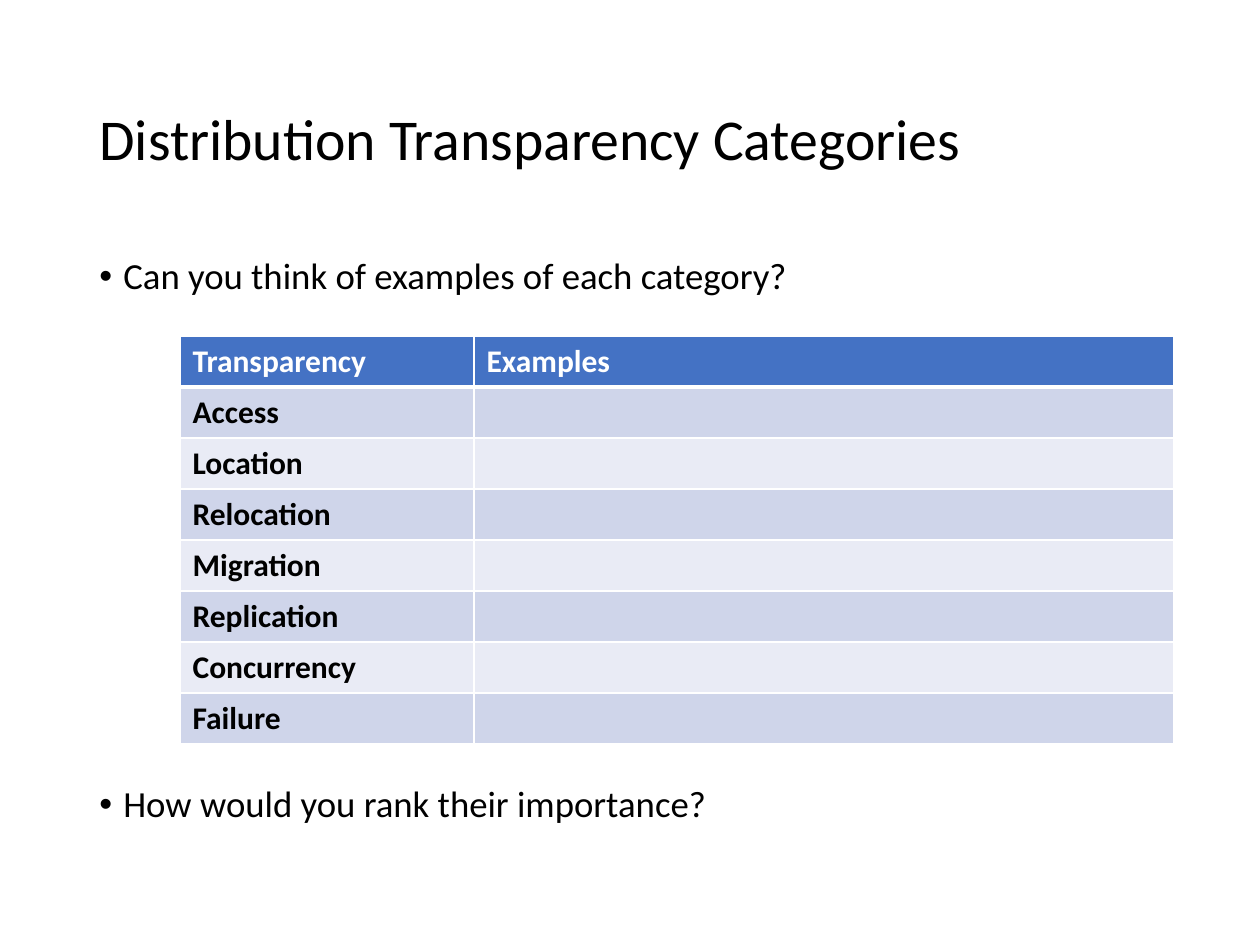
from lxml import etree
from pptx import Presentation
from pptx.dml.color import RGBColor
from pptx.enum.text import MSO_ANCHOR
from pptx.oxml.ns import qn
from pptx.util import Emu, Pt

# Content
TITLE = "Distribution Transparency Categories"
# Bullet text and the space before it in points; the second clears the table
BULLETS = [
    ("Can you think of examples of each category?", 7.5),
    ("How would you rank their importance?", 279),
]
HEADERS = ["Transparency", "Examples"]
CATEGORIES = ["Access", "Location", "Relocation", "Migration",
              "Replication", "Concurrency", "Failure"]

# Layout in px (126 to the inch)
PX = 914400 / 126
TITLE_BOX = (87, 50, 1086, 183)
BODY_BOX = (87, 252, 1086, 600)
TABLE_LEFT, TABLE_TOP = 180, 336
COLUMN_WIDTHS = [294, 700]
ROW_HEIGHT = 51
BULLET_INDENT = 24

# Style
FONT = "Calibri"
BLACK = RGBColor(0x00, 0x00, 0x00)
WHITE = RGBColor(0xFF, 0xFF, 0xFF)
HEADER_BLUE = RGBColor(0x44, 0x72, 0xC4)
BANDS = [RGBColor(0xCF, 0xD5, 0xEA), RGBColor(0xE9, 0xEB, 0xF5)]
MIDDLE, TOP = MSO_ANCHOR.MIDDLE, MSO_ANCHOR.TOP


def px(length):
    return Emu(round(length * PX))


def style_runs(para, size, color, bold=False):
    for span in para.runs:
        span.font.name = FONT
        span.font.size = Pt(size)
        span.font.bold = bold
        span.font.color.rgb = color


def add_text_box(page, place, anchor):
    box = page.shapes.add_textbox(*map(px, place))
    box.text_frame.word_wrap = True
    box.text_frame.vertical_anchor = anchor
    return box.text_frame


def add_bullet(para):
    props = para._p.get_or_add_pPr()
    props.set("marL", str(px(BULLET_INDENT)))
    props.set("indent", str(-px(BULLET_INDENT)))
    etree.SubElement(props, qn("a:buFont")).set("typeface", "Arial")
    etree.SubElement(props, qn("a:buChar")).set("char", "•")


def set_borders(cell, bottom_width):
    props = cell._tc.get_or_add_tcPr()
    for side, width in (("L", 1), ("R", 1), ("T", 1), ("B", bottom_width)):
        line = etree.SubElement(props, qn(f"a:ln{side}"), w=str(Pt(width)))
        fill = etree.SubElement(line, qn("a:solidFill"))
        etree.SubElement(fill, qn("a:srgbClr")).set("val", str(WHITE))


def add_category_table(page):
    rows = [HEADERS] + [[name, ""] for name in CATEGORIES]
    frame = page.shapes.add_table(
        len(rows), len(HEADERS), px(TABLE_LEFT), px(TABLE_TOP),
        px(sum(COLUMN_WIDTHS)), px(ROW_HEIGHT * len(rows)))
    table = frame.table
    for column, width in zip(table.columns, COLUMN_WIDTHS):
        column.width = px(width)
    for r, texts in enumerate(rows):
        table.rows[r].height = px(ROW_HEIGHT)
        is_header = r == 0
        for c, text in enumerate(texts):
            cell = table.cell(r, c)
            set_borders(cell, 3 if is_header else 1)
            cell.fill.solid()
            cell.fill.fore_color.rgb = HEADER_BLUE if is_header else BANDS[(r - 1) % 2]
            if text:
                cell.text_frame.text = text
                style_runs(cell.text_frame.paragraphs[0], 18,
                           WHITE if is_header else BLACK, bold=True)


def main():
    deck = Presentation()
    deck.slide_width, deck.slide_height = px(1260), px(945)
    page = deck.slides.add_slide(deck.slide_layouts[6])

    # Title
    title = add_text_box(page, TITLE_BOX, MIDDLE)
    title.text = TITLE
    title.paragraphs[0].line_spacing = 0.9
    style_runs(title.paragraphs[0], 33, BLACK)

    # Questions above and below the table
    body = add_text_box(page, BODY_BOX, TOP)
    body.text = "\n".join(text for text, _ in BULLETS)
    for para, (_, space) in zip(body.paragraphs, BULLETS):
        para.line_spacing = 0.9
        para.space_before = Pt(space)
        add_bullet(para)
        style_runs(para, 21, BLACK)

    # Table
    add_category_table(page)

    deck.save("out.pptx")


if __name__ == "__main__":
    main()
